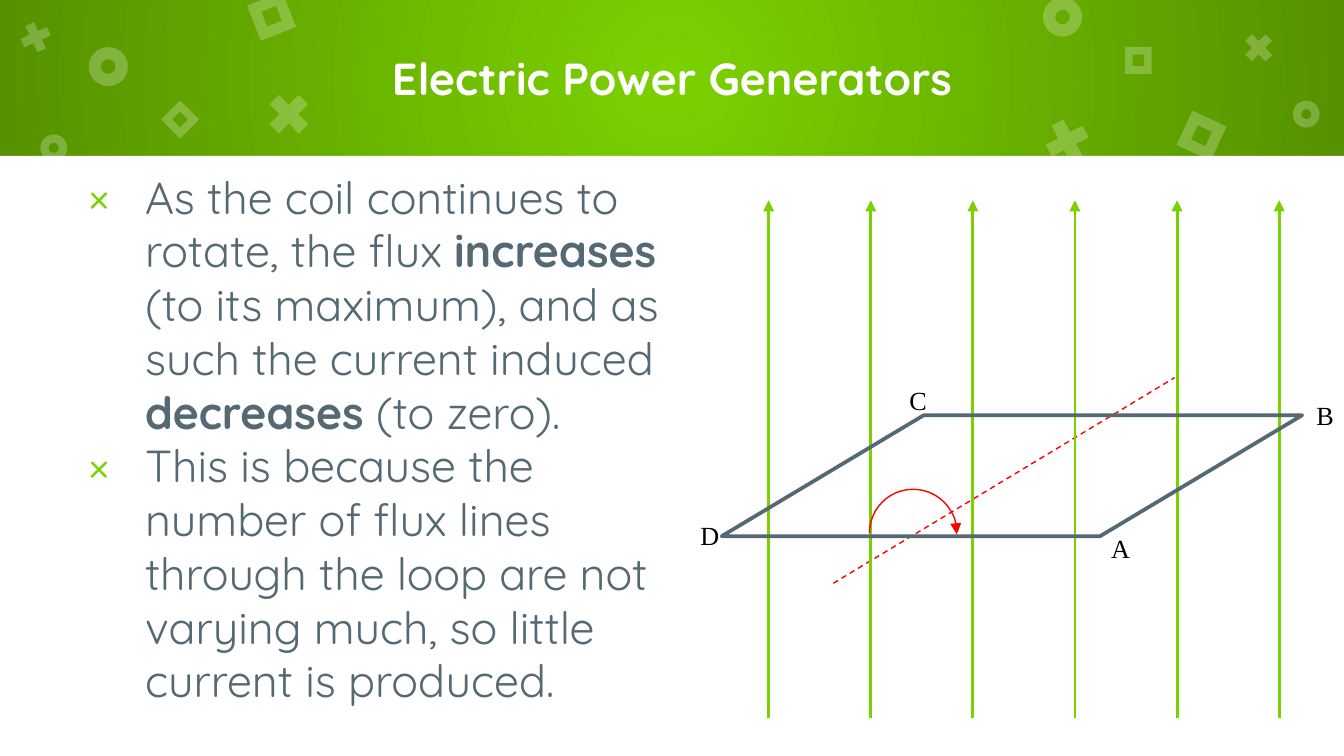
from lxml.etree import SubElement
from pptx import Presentation
from pptx.dml.color import RGBColor
from pptx.enum.dml import MSO_LINE
from pptx.enum.shapes import MSO_CONNECTOR, MSO_SHAPE
from pptx.enum.text import MSO_ANCHOR, MSO_AUTO_SIZE, PP_ALIGN
from pptx.oxml.ns import qn
from pptx.util import Pt

GREEN, DARK_GREEN, SLATE = "7BD100", "569200", "546973"
WHITE, RED, BLACK = "FFFFFF", "FF0000", "000000"
WIDTH, HEIGHT, BAND_HEIGHT = 720, 405, 83.5

TITLE = "Electric Power Generators"
# Each bullet is a list of (text, bold) pieces.
BULLETS = [
    [("As the coil continues to rotate, the flux ", False),
     ("increases", True),
     (" (to its maximum), and as such the current induced ", False),
     ("decreases", True),
     (" (to zero).", False)],
    [("This is because the number of flux lines through the loop are not "
      "varying much, so little current is produced.", False)],
]

# Band ornaments: preset, adjustment, then (left, top, size, rotation) of each.
ORNAMENTS = [
    (MSO_SHAPE.DONUT, 0.31, [
        (47.5, 25.2, 21, 0), (558.7, -1.4, 21, 0),
        (21.6, 72, 14.4, 0), (692.6, 54, 14.4, 0)]),
    (MSO_SHAPE.MATH_MULTIPLY, 0.235, [
        (139.7, 46.1, 30.2, 0), (556.6, 60.5, 30.2, 17.5),
        (8.6, 9.4, 21, 20.4), (663.8, 15.1, 21, 0)]),
    (MSO_SHAPE.FRAME, 0.289, [
        (135.4, -1.4, 20.2, 338.4), (633.6, 62.6, 20.2, 25),
        (89.3, 56.9, 14.4, 45), (602.6, 25.2, 14.4, 0)]),
]

FLUX_COUNT, FLUX_LEFT, FLUX_GAP = 6, 411.8, 54.7
FLUX_TOP, FLUX_BOTTOM = 107.3, 384.5
AXIS = (446.4, 312.5, 629.3, 202.3)
COIL = (386.6, 222.5, 311, 64.8)
TURN = (465.8, 262.1, 46.8, 46.8)
CORNERS = [("D", 371, 275), ("C", 482.5, 202.3),
           ("B", 700.5, 210.2), ("A", 591, 281.5)]
CORNER_SIZE = (18.7, 24.5)


def rgb(value):
    return RGBColor.from_string(value)


def add_shape(preset, left, top, width, height, fill=None, line=None, weight=1):
    shape = slide.shapes.add_shape(preset, Pt(left), Pt(top), Pt(width), Pt(height))
    shape.shadow.inherit = False
    if fill:
        shape.fill.solid()
        shape.fill.fore_color.rgb = rgb(fill)
    else:
        shape.fill.background()
    if line:
        shape.line.color.rgb = rgb(line)
        shape.line.width = Pt(weight)
    else:
        shape.line.fill.background()
    return shape


def add_arrowhead(shape):
    outline = shape._element.spPr.find(qn("a:ln"))
    SubElement(outline, qn("a:tailEnd"), type="triangle")


def add_line(x1, y1, x2, y2, color, weight):
    connector = slide.shapes.add_connector(
        MSO_CONNECTOR.STRAIGHT, Pt(x1), Pt(y1), Pt(x2), Pt(y2))
    connector.line.color.rgb = rgb(color)
    connector.line.width = Pt(weight)
    SubElement(connector._element.spPr, qn("a:effectLst"))
    return connector


def add_text_frame(left, top, width, height, margin):
    frame = slide.shapes.add_textbox(Pt(left), Pt(top), Pt(width), Pt(height)).text_frame
    frame.word_wrap = True
    frame.margin_left = frame.margin_right = Pt(margin)
    frame.margin_top = frame.margin_bottom = Pt(margin)
    return frame


def style(font, name, size, color, bold=False):
    font.name, font.size, font.bold = name, Pt(size), bold
    font.color.rgb = rgb(color)


def add_bullet(paragraph):
    properties = paragraph._p.get_or_add_pPr()
    properties.set("marL", str(Pt(36)))
    properties.set("indent", str(Pt(-30)))
    color = SubElement(properties, qn("a:buClr"))
    SubElement(color, qn("a:srgbClr"), val=GREEN)
    SubElement(properties, qn("a:buFont"), typeface="Quicksand")
    SubElement(properties, qn("a:buChar"), char="×")


def fill_radial(shape, center, edge):
    shape.fill.gradient()
    for stop, color in zip(shape.fill.gradient_stops, (center, edge)):
        stop.color.rgb = rgb(color)
    gradient = shape._element.spPr.find(qn("a:gradFill"))
    gradient.remove(gradient.find(qn("a:lin")))
    circle = SubElement(gradient, qn("a:path"), path="circle")
    SubElement(circle, qn("a:fillToRect"), l="50000", t="50000", r="50000", b="50000")


presentation = Presentation()
presentation.slide_width, presentation.slide_height = Pt(WIDTH), Pt(HEIGHT)
slide = presentation.slides.add_slide(presentation.slide_layouts[6])
slide.background.fill.solid()
slide.background.fill.fore_color.rgb = rgb(GREEN)

# Title band
band = add_shape(MSO_SHAPE.RECTANGLE, 0, 0, WIDTH, BAND_HEIGHT, GREEN)
fill_radial(band, GREEN, DARK_GREEN)
add_shape(MSO_SHAPE.RECTANGLE, 0, BAND_HEIGHT, WIDTH, HEIGHT - BAND_HEIGHT, WHITE)
for preset, adjustment, places in ORNAMENTS:
    for left, top, size, rotation in places:
        ornament = add_shape(preset, left, top, size, size, WHITE)
        ornament.adjustments[0] = adjustment
        ornament.rotation = rotation
        tint = ornament._element.spPr.find(qn("a:solidFill"))[0]
        SubElement(tint, qn("a:alpha"), val="24000")

add_line(*AXIS, RED, 0.75).line.dash_style = MSO_LINE.DASH

title = add_text_frame(68.4, 0, 583.2, BAND_HEIGHT, 7.2)
title.vertical_anchor = MSO_ANCHOR.MIDDLE
title.text = TITLE
title.paragraphs[0].alignment = PP_ALIGN.CENTER
style(title.paragraphs[0].runs[0].font, "Quicksand", 24, WHITE, True)

# Explanation
body = add_text_frame(34.6, BAND_HEIGHT, 325.4, 303.8, 7.2)
body.auto_size = MSO_AUTO_SIZE.TEXT_TO_FIT_SHAPE
for index, pieces in enumerate(BULLETS):
    paragraph = body.add_paragraph() if index else body.paragraphs[0]
    add_bullet(paragraph)
    for text, bold in pieces:
        run = paragraph.add_run()
        run.text = text
        style(run.font, "Quicksand", 24, SLATE, bold)

# Coil in the magnetic field
for index in range(FLUX_COUNT):
    x = FLUX_LEFT + index * FLUX_GAP
    add_arrowhead(add_line(x, FLUX_BOTTOM, x, FLUX_TOP, GREEN, 1.5))

coil = add_shape(MSO_SHAPE.PARALLELOGRAM, *COIL, line=SLATE, weight=2)
coil.adjustments[0] = 1.671

for letter, left, top in CORNERS:
    corner = add_text_frame(left, top, *CORNER_SIZE, 0)
    corner.word_wrap = False
    corner.margin_top = Pt(3.6)
    corner.text = letter
    corner.paragraphs[0].alignment = PP_ALIGN.CENTER
    style(corner.paragraphs[0].runs[0].font, "Times New Roman", 14, BLACK)

turn = add_shape(MSO_SHAPE.ARC, *TURN, line=RED, weight=0.75)
turn.adjustments[0], turn.adjustments[1] = 162, 55.116
turn.rotation = 270
add_arrowhead(turn)

presentation.save("out.pptx")
